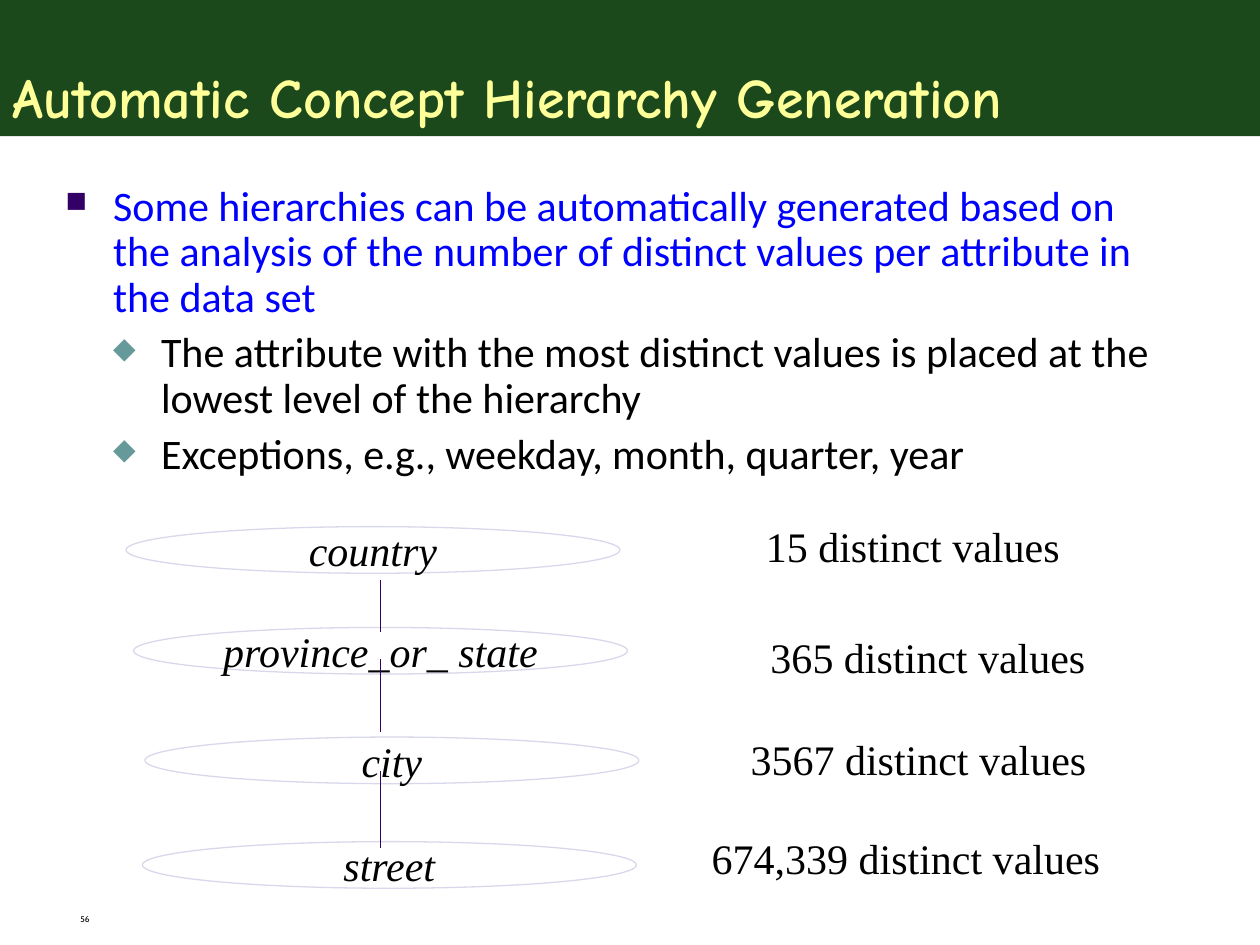
import pptx
import pptx.util
import pptx.dml.color
import pptx.enum.shapes
import pptx.enum.text
import pptx.oxml
import pptx.oxml.ns
from pptx.util import Inches

COLORS = {
    "banner": "003300", "title": "FFFF99", "lead": "0000FF", "text": "000000",
    "square": "330066", "diamond": "669999", "outline": "D8D8EC", "link": "330066",
}
ALIGN = pptx.enum.text.PP_ALIGN
ANCHOR = pptx.enum.text.MSO_ANCHOR
SHAPES = pptx.enum.shapes.MSO_SHAPE
SERIF = {"name": "Times New Roman", "size": pptx.util.Pt(24)}

# Text, left and top of each level, then its count's text, left, top and width
LEVELS = [
    ("country", 1, 4.18, "15 distinct values", 5.98, 4.08, 2.53),
    ("province_or_ state", 1.06, 4.98, "365 distinct values", 6, 4.96, 2.73),
    ("city", 1.15, 5.85, "3567 distinct values", 5.79, 5.77, 3),
    ("street", 1.13, 6.68, "674,339 distinct values", 5.55, 6.56, 3.28),
]
LINKS = [(4.6, 5.02), (5.23, 5.81), (6.12, 6.73)]
LINK_X = 3.02
BULLETS = [
    (0, "Some hierarchies can be automatically generated based on the analysis "
        "of the number of distinct values per attribute in the data set"),
    (1, "The attribute with the most distinct values is placed at the lowest "
        "level of the hierarchy"),
    (1, "Exceptions, e.g., weekday, month, quarter, year"),
]
BULLET_STYLES = [("■", "square", "lead"), ("◆", "diamond", "text")]


def rgb(name):
    return pptx.dml.color.RGBColor.from_string(COLORS[name])


def set_values(target, values):
    for name, value in values.items():
        setattr(target, name, value)


def add_xml(parent, tag, **attributes):
    child = pptx.oxml.parse_xml(f"<a:{tag} {pptx.oxml.ns.nsdecls('a')}/>")
    for name, value in attributes.items():
        child.set(name, value)
    parent.append(child)
    return child


def write_paragraph(para, text, font, color="text", **layout):
    set_values(para, layout)
    span = para.add_run()
    span.text = text
    set_values(span.font, font)
    span.font.color.rgb = rgb(color)


def add_text(page, text, place, font, wrap=True, **layout):
    box = page.shapes.add_textbox(*map(Inches, place))
    box.text_frame.word_wrap = wrap
    write_paragraph(box.text_frame.paragraphs[0], text, font, **layout)


def add_banner(page, text):
    banner = page.shapes.add_shape(SHAPES.RECTANGLE, 0, 0, Inches(10), Inches(1.08))
    banner.shadow.inherit = False
    banner.line.fill.background()
    banner.fill.solid()
    banner.fill.fore_color.rgb = rgb("banner")
    fill_color = banner.fill._xPr.find(".//" + pptx.oxml.ns.qn("a:srgbClr"))
    add_xml(fill_color, "alpha", val="89000")
    banner.text_frame.vertical_anchor = ANCHOR.BOTTOM
    font = {"name": "Comic Neue", "size": pptx.util.Pt(32), "bold": True}
    write_paragraph(banner.text_frame.paragraphs[0], text, font, "title",
                    alignment=ALIGN.LEFT)


def add_bullets(page):
    box = page.shapes.add_textbox(*map(Inches, (0.42, 1.42, 8.83, 2.5)))
    frame = box.text_frame
    frame.word_wrap = True
    font = {"name": "Calibri", "size": pptx.util.Pt(24)}
    for index, (level, text) in enumerate(BULLETS):
        para = frame.add_paragraph() if index else frame.paragraphs[0]
        mark, mark_color, text_color = BULLET_STYLES[level]
        write_paragraph(para, text, font, text_color, level=level, line_spacing=0.9,
                        space_before=pptx.util.Pt(6 if index else 0))
        properties = para._p.get_or_add_pPr()
        properties.set("marL", str(Inches(0.38 * (level + 1))))
        properties.set("indent", str(Inches(-0.38)))
        add_xml(add_xml(properties, "buClr"), "srgbClr", val=COLORS[mark_color])
        add_xml(properties, "buSzPct", val="70000")
        add_xml(properties, "buChar", char=mark)


def add_level(page, text, left, top):
    oval = page.shapes.add_shape(SHAPES.OVAL, *map(Inches, (left, top, 3.92, 0.37)))
    oval.shadow.inherit = False
    oval.fill.background()
    oval.line.color.rgb = rgb("outline")
    oval.line.width = pptx.util.Pt(0.75)
    set_values(oval.text_frame, {"word_wrap": False, "vertical_anchor": ANCHOR.MIDDLE})
    write_paragraph(oval.text_frame.paragraphs[0], text, {**SERIF, "italic": True},
                    alignment=ALIGN.CENTER)


def add_link(page, top, bottom):
    link = page.shapes.add_connector(
        pptx.enum.shapes.MSO_CONNECTOR.STRAIGHT,
        *map(Inches, (LINK_X, top, LINK_X, bottom)))
    link.line.color.rgb = rgb("link")
    link.line.width = pptx.util.Pt(0.75)
    add_xml(link._element.spPr, "effectLst")


def main():
    deck = pptx.Presentation()
    set_values(deck, {"slide_width": Inches(10), "slide_height": Inches(7.5)})
    page = deck.slides.add_slide(deck.slide_layouts[6])

    # Page number, title and bullets
    add_text(page, "56", (0.54, 7.22, 2.33, 0.21),
             {"name": "Cabin", "size": pptx.util.Pt(4.8)}, line_spacing=0.8)
    add_banner(page, "Automatic Concept Hierarchy Generation")
    add_bullets(page)

    # Hierarchy levels, their links and their counts
    for name, left, top, *_ in LEVELS:
        add_level(page, name, left, top)
    for top, bottom in LINKS:
        add_link(page, top, bottom)
    for *_, count, left, top, width in LEVELS:
        add_text(page, count, (left, top, width, 0.5), SERIF, wrap=False,
                 alignment=ALIGN.CENTER)

    deck.save("out.pptx")


if __name__ == "__main__":
    main()
